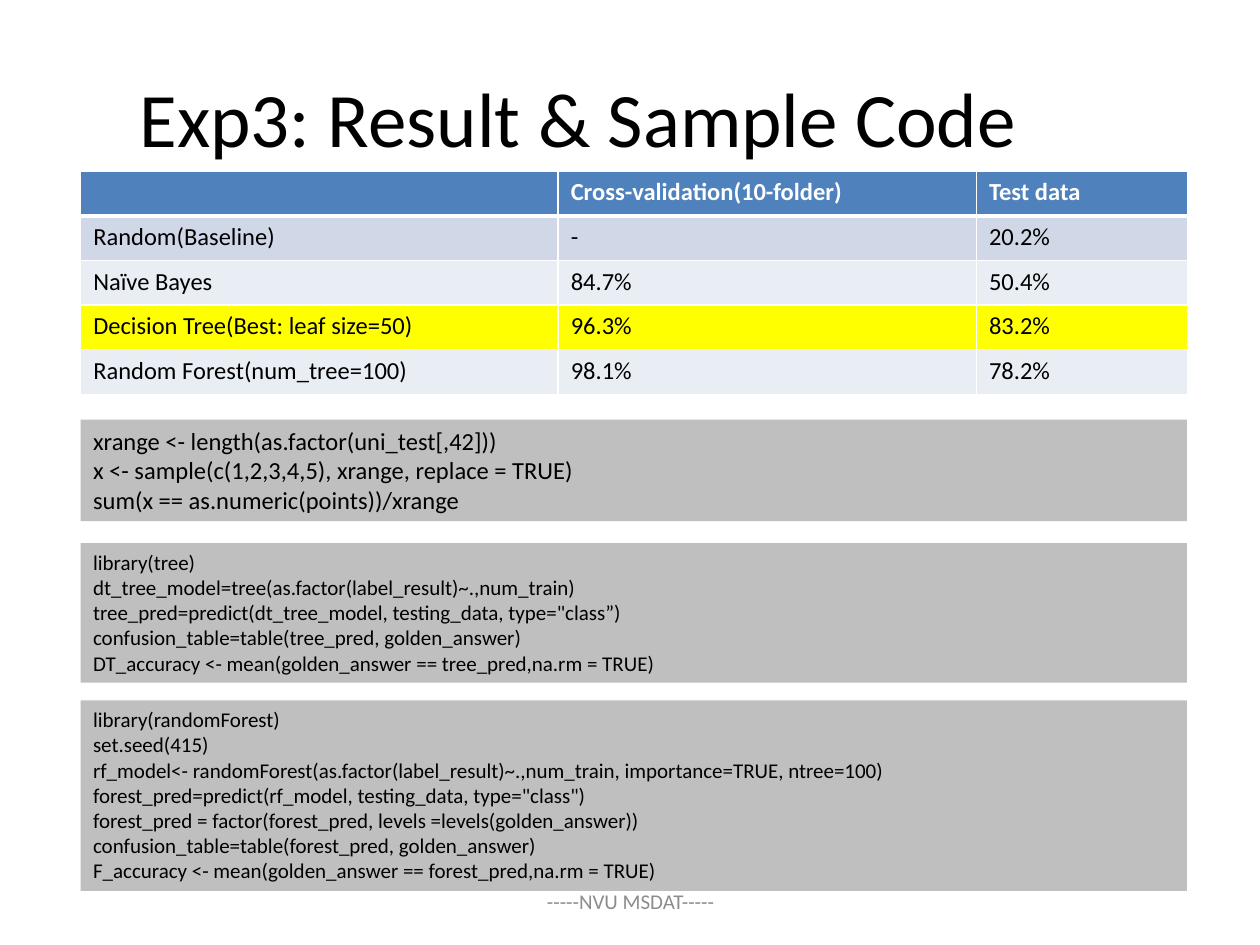
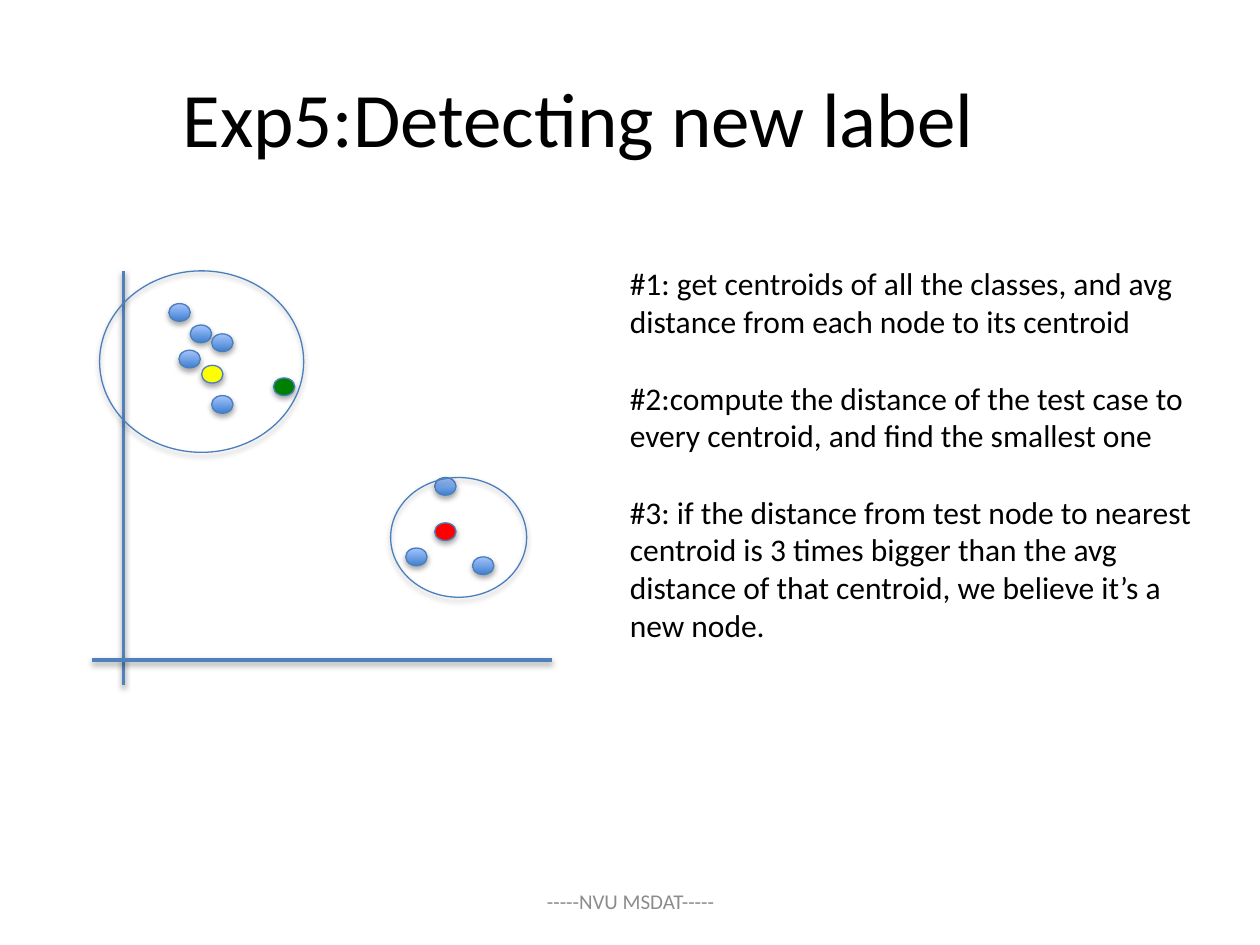
from dataclasses import dataclass
from typing import Any, Optional

from pptx import Presentation
from pptx import util as u
from pptx.dml.color import RGBColor
from pptx.enum import shapes, text
from pptx.oxml import parse_xml
from pptx.slide import Slide

COLUMNS, ROWS = 100, 75
WIDTH, HEIGHT = u.Inches(10), u.Inches(7.5)
FONT = "Calibri"
BLACK, WHITE, GREY, FOOTER_GREY = "000000", "FFFFFF", "BFBFBF", "8C8C8C"
BLUE, OUTLINE = "4F81BD", "4B7EBC"
DOT_LOW, DOT_HIGH = "3F80CE", "A4C4FF"
BAND_DARK, BAND_LIGHT, YELLOW = "D0D8E8", "E9EDF4", "FFFF00"
RED, GREEN = "FF0000", "008000"
NAMESPACE = 'xmlns:a="http://schemas.openxmlformats.org/drawingml/2006/main"'
LEFT, SPAN = 6.4, 87.8
LINE_SPACING = 1.21


@dataclass(frozen=True)
class Area:
    """A rectangle in grid columns and rows."""
    left: float
    top: float
    width: float
    height: float

    def place(self) -> tuple:
        """Return the rectangle in slide units."""
        return (across(self.left), down(self.top), across(self.width), down(self.height))


@dataclass(frozen=True)
class Style:
    """The look of a text."""
    size: float
    ink: str = BLACK
    bold: bool = False
    align: Any = text.PP_ALIGN.LEFT
    anchor: Any = text.MSO_ANCHOR.TOP
    gap: float = 0


@dataclass(frozen=True)
class CodeBlock:
    """A grey panel of code lines."""
    top: float
    size: float
    lines: tuple


@dataclass(frozen=True)
class Ellipse:
    """A shadowed ellipse; blue gradient dots have no fill colour."""
    area: Area
    fill: Optional[str] = None
    hollow: bool = False


def across(columns: float) -> int:
    """Turn grid columns into a length."""
    return round(WIDTH * columns / COLUMNS)


def down(rows: float) -> int:
    """Turn grid rows into a length."""
    return round(HEIGHT * rows / ROWS)


def color(value: str) -> RGBColor:
    """Turn a hex string into a colour."""
    return RGBColor.from_string(value)


def write(frame: Any, lines: tuple, style: Style) -> None:
    """Fill a text frame with one paragraph per line."""
    frame.word_wrap = True
    frame.vertical_anchor = style.anchor
    for index, line in enumerate(lines):
        paragraph = frame.add_paragraph() if index else frame.paragraphs[0]
        paragraph.text = line
        paragraph.alignment = style.align
        paragraph.space_before = u.Pt(style.gap if index else 0)
        font = paragraph.font
        font.name, font.size, font.bold = FONT, u.Pt(style.size), style.bold
        font.color.rgb = color(style.ink)


def add_text(page: Slide, area: Area, lines: tuple, style: Style) -> None:
    """Add a text box."""
    write(page.shapes.add_textbox(*area.place()).text_frame, lines, style)


def add_page(deck: Any, title: str) -> Slide:
    """Add a blank page with its title and footer."""
    page = deck.slides.add_slide(deck.slide_layouts[6])
    centre, middle = text.PP_ALIGN.CENTER, text.MSO_ANCHOR.MIDDLE
    add_text(page, Area(3.4, 1.2, 85, 16.1), (title,),
             Style(44, align=centre, anchor=middle))
    add_text(page, Area(34.2, 69.5, 31.7, 4), ("-----NVU MSDAT-----",),
             Style(12, FOOTER_GREY, align=centre, anchor=middle))
    return page


def cast_shadow(shape: Any, distance: int, opacity: int) -> None:
    """Give a shape or line a soft shadow below it."""
    shape._element.spPr.append(parse_xml(
        f'<a:effectLst {NAMESPACE}><a:outerShdw blurRad="40000" dist="{distance}" '
        f'dir="5400000" rotWithShape="0"><a:srgbClr val="{BLACK}">'
        f'<a:alpha val="{opacity * 1000}"/></a:srgbClr></a:outerShdw></a:effectLst>'))


def add_borders(cell: Any, bottom: float) -> None:
    """Draw white borders around a table cell."""
    sides = {"lnL": 1, "lnR": 1, "lnT": 1, "lnB": bottom}
    for index, (side, points) in enumerate(sides.items()):
        cell._tc.get_or_add_tcPr().insert(index, parse_xml(
            f'<a:{side} {NAMESPACE} w="{u.Pt(points)}"><a:solidFill>'
            f'<a:srgbClr val="{WHITE}"/></a:solidFill></a:{side}>'))


def add_results(page: Slide, rows: tuple, fills: tuple, widths: tuple) -> None:
    """Add the table of accuracies."""
    area = Area(LEFT, 13.6, SPAN, 17.7)
    table = page.shapes.add_table(len(rows), len(widths), *area.place()).table
    for column, width in zip(table.columns, widths):
        column.width = across(width)
    for index, (values, fill) in enumerate(zip(rows, fills)):
        header = index == 0
        for cell, value in zip(table.rows[index].cells, values):
            cell.fill.solid()
            cell.fill.fore_color.rgb = color(fill)
            add_borders(cell, 3 if header else 1)
            write(cell.text_frame, (value,), Style(14, WHITE if header else BLACK, header))


def add_code(page: Slide, block: CodeBlock) -> None:
    """Add a code panel as tall as its lines."""
    height = 1 + len(block.lines) * block.size * LINE_SPACING / 7.2
    area = Area(LEFT, block.top, SPAN, height)
    panel = page.shapes.add_shape(shapes.MSO_SHAPE.RECTANGLE, *area.place())
    panel.shadow.inherit = False
    panel.fill.solid()
    panel.fill.fore_color.rgb = color(GREY)
    panel.line.fill.background()
    write(panel.text_frame, block.lines, Style(block.size))


def add_axis(page: Slide, start: tuple, end: tuple) -> None:
    """Add a shadowed axis line."""
    axis = page.shapes.add_connector(
        shapes.MSO_CONNECTOR.STRAIGHT,
        across(start[0]), down(start[1]), across(end[0]), down(end[1]))
    axis.line.color.rgb = color(BLUE)
    axis.line.width = u.Pt(2)
    cast_shadow(axis, 20000, 38)


def add_ellipse(page: Slide, ellipse: Ellipse) -> None:
    """Add a dot or a cluster outline."""
    shape = page.shapes.add_shape(shapes.MSO_SHAPE.OVAL, *ellipse.area.place())
    if ellipse.hollow:
        shape.fill.background()
    elif ellipse.fill:
        shape.fill.solid()
        shape.fill.fore_color.rgb = color(ellipse.fill)
    else:
        shape.fill.gradient()
        shape.fill.gradient_angle = 90
        for stop, shade in zip(shape.fill.gradient_stops, (DOT_LOW, DOT_HIGH)):
            stop.color.rgb = color(shade)
    shape.line.color.rgb = color(OUTLINE)
    shape.line.width = u.Pt(0.75)
    cast_shadow(shape, 23000, 35)


def dot(left: float, top: float, fill: Optional[str] = None) -> Ellipse:
    """Describe a data point."""
    return Ellipse(Area(left, top, 1.7, 1.4), fill)


RESULTS = (
    ("", "Cross-validation(10-folder)", "Test data"),
    ("Random(Baseline)", "-", "20.2%"),
    ("Naïve Bayes", "84.7%", "50.4%"),
    ("Decision Tree(Best: leaf size=50)", "96.3%", "83.2%"),
    ("Random Forest(num_tree=100)", "98.1%", "78.2%"),
)
RESULT_FILLS = (BLUE, BAND_DARK, BAND_LIGHT, YELLOW, BAND_LIGHT)
CODE_BLOCKS = (
    CodeBlock(33.3, 14, (
        "xrange <- length(as.factor(uni_test[,42]))",
        "x <- sample(c(1,2,3,4,5), xrange, replace = TRUE)",
        "sum(x == as.numeric(points))/xrange")),
    CodeBlock(43.1, 12, (
        "library(tree)",
        "dt_tree_model=tree(as.factor(label_result)~.,num_train)",
        'tree_pred=predict(dt_tree_model, testing_data, type="class”)',
        "confusion_table=table(tree_pred, golden_answer)",
        "DT_accuracy <- mean(golden_answer == tree_pred,na.rm = TRUE)")),
    CodeBlock(55.6, 12, (
        "library(randomForest)",
        "set.seed(415)",
        "rf_model<- randomForest(as.factor(label_result)~.,num_train, "
        "importance=TRUE, ntree=100)",
        'forest_pred=predict(rf_model, testing_data, type="class")',
        "forest_pred = factor(forest_pred, levels =levels(golden_answer))",
        "confusion_table=table(forest_pred, golden_answer)",
        "F_accuracy <- mean(golden_answer == forest_pred,na.rm = TRUE)")),
)
ELLIPSES = (
    dot(13.4, 24.1), dot(37.5, 44.2), dot(14.2, 27.8), dot(16.8, 31.4),
    dot(16, 29, YELLOW), dot(15.1, 25.8), dot(34.5, 41.5, RED), dot(16.8, 26.5),
    dot(34.5, 37.9), dot(32.2, 43.5), dot(21.7, 30, GREEN),
    Ellipse(Area(7.9, 21.5, 16.2, 14.4), hollow=True),
    Ellipse(Area(31, 37.9, 10.8, 9.5), hollow=True),
)
STEPS = (
    "#1: get centroids of all the classes, and avg distance from each node to its centroid",
    "#2:compute the distance of the test case to every centroid, and find the smallest one",
    "#3: if the distance from test node to nearest centroid is 3 times bigger than the avg "
    "distance of that centroid, we believe it’s a new node.",
)


def build() -> None:
    """Build and save the deck."""
    deck = Presentation()
    deck.slide_width, deck.slide_height = WIDTH, HEIGHT

    result_page = add_page(deck, "Exp3: Result & Sample Code")
    add_results(result_page, RESULTS, RESULT_FILLS, (37.9, 33.2, 16.8))
    for block in CODE_BLOCKS:
        add_code(result_page, block)

    label_page = add_page(deck, "Exp5:Detecting new label")
    add_axis(label_page, (9.8, 21.5), (9.8, 54.4))
    add_axis(label_page, (43.8, 52.4), (7.3, 52.4))
    for ellipse in ELLIPSES:
        add_ellipse(label_page, ellipse)
    add_text(label_page, Area(49, 20.5, 48.8, 31.3), STEPS, Style(18, gap=22))

    deck.save("out.pptx")


build()
